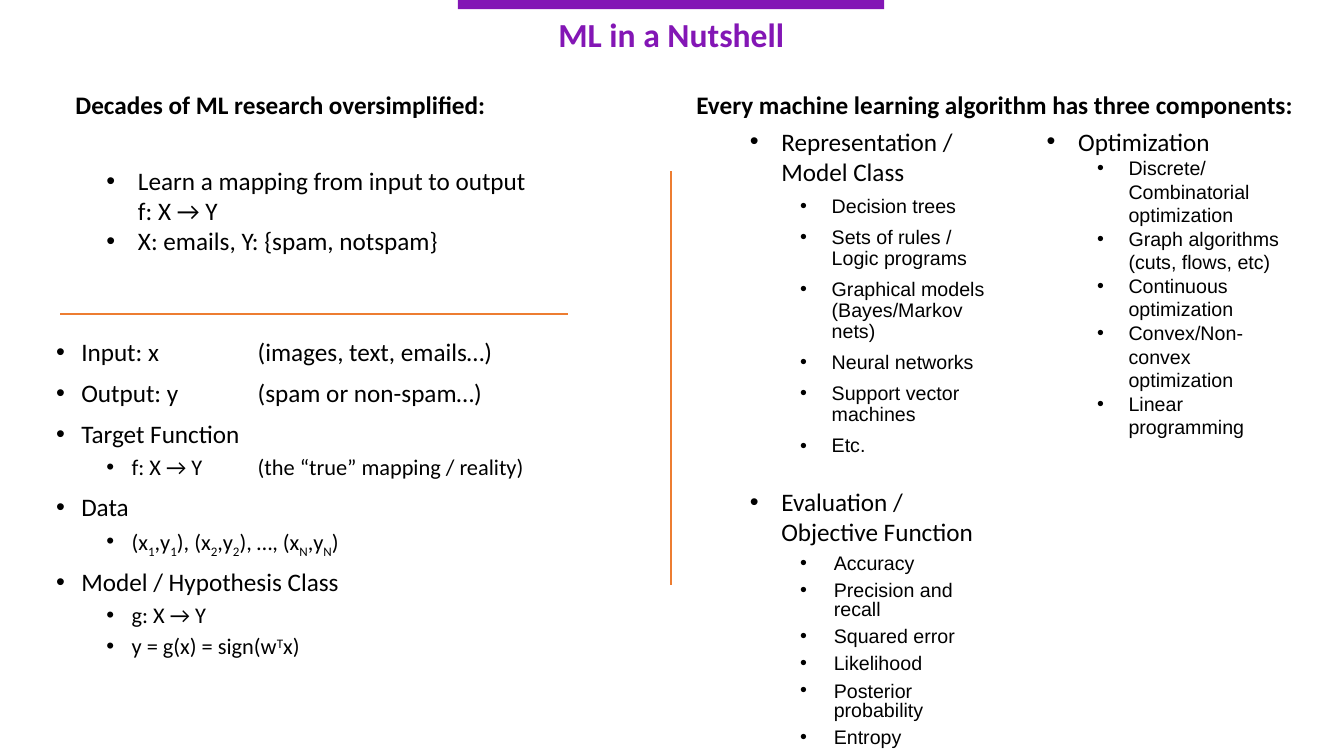
from lxml import etree
from pptx import Presentation
from pptx.dml.color import RGBColor
from pptx.enum.shapes import MSO_CONNECTOR, MSO_SHAPE
from pptx.enum.text import PP_ALIGN
from pptx.oxml.ns import qn
from pptx.util import Pt

STRAIGHT, RECTANGLE = MSO_CONNECTOR.STRAIGHT, MSO_SHAPE.RECTANGLE
CENTER, LEFT = PP_ALIGN.CENTER, PP_ALIGN.LEFT
PURPLE, ORANGE, BLACK = "8316B5", "ED7D31", "000000"

# style: level, margin, hanging, size, font, line spacing, space before
STYLES = {
    "topic": (1, 58.5, 22.5, 18, "Calibri", 1, 0),
    "next topic": (1, 58.5, 22.5, 18, "Calibri", 1, 21),
    "model": (2, 94.5, 22.5, 14, "Arial", 0.9, 7),
    "measure": (2, 96, 24, 14, "Arial", 0.8, 6),
    "method": (2, 94.5, 22.5, 14, "Arial", 1, 0),
    "term": (0, 18, 18, 18, "Calibri", 0.9, 10),
    "detail": (1, 54, 18, 16, "Calibri", 0.9, 5),
}

HEADINGS = [
    ("ML in a Nutshell", (319, 6.5, 321, 36), 24, PURPLE, CENTER),
    ("Decades of ML research oversimplified:", (46.8, 60.5, 485, 29), 18, BLACK, LEFT),
    ("Every machine learning algorithm has three components:",
     (490.3, 60.5, 466, 29), 18, BLACK, LEFT),
]

MAPPING = [
    ("topic", ["Learn a mapping from input to output f: X → Y",
               "X: emails, Y: {spam, notspam}"]),
]
DATA_POINTS = [("(x", 0), ("1", -25), (",y", 0), ("1", -25), ("), (x", 0), ("2", -25),
               (",y", 0), ("2", -25), ("), …, (x", 0), ("N", -25), (",y", 0),
               ("N", -25), (")", 0)]
TERMS = [
    ("term", ["Input: x\t\t(images, text, emails…)",
              "Output: y\t\t(spam or non-spam…)",
              "Target Function"]),
    ("detail", ["f: X → Y\t\t(the “true” mapping / reality)"]),
    ("term", ["Data"]),
    ("detail", [DATA_POINTS]),
    ("term", ["Model / Hypothesis Class"]),
    ("detail", ["g: X → Y", [("y = g(x) = sign(w", 0), ("T", 30), ("x)", 0)]]),
]
MODELS_AND_MEASURES = [
    ("topic", ["Representation / Model Class"]),
    ("model", ["Decision trees", "Sets of rules / Logic programs",
               "Graphical models (Bayes/Markov nets)", "Neural networks",
               "Support vector machines", "Etc."]),
    ("next topic", ["Evaluation / Objective Function"]),
    ("measure", ["Accuracy", "Precision and recall", "Squared error", "Likelihood",
                 "Posterior probability", "Entropy"]),
]
METHODS = [
    ("topic", ["Optimization"]),
    ("method", ["Discrete/Combinatorial optimization",
                "Graph algorithms (cuts, flows, etc)", "Continuous optimization",
                "Convex/Non-convex optimization", "Linear programming"]),
]

INSET = 7.2
COLUMN_LEFT, COLUMN_TOP, COLUMN_WIDTH = 492.5, 86.4, 212
COLUMN_BOX = COLUMN_WIDTH + 2 * INSET
LISTS = [
    (MAPPING, (33, 114.5, 360, 73)),
    (TERMS, (33, 239, 499, 244)),
    (MODELS_AND_MEASURES, (COLUMN_LEFT, COLUMN_TOP, COLUMN_BOX, 453)),
    (METHODS, (COLUMN_LEFT + COLUMN_WIDTH, COLUMN_TOP, COLUMN_BOX, 240)),
]
DIVIDERS = [(43.2, 224, 406, 224), (479.5, 417.6, 479.5, 122.4)]


def color(hex_code):
    return RGBColor.from_string(hex_code)


def add_text_frame(slide, place):
    frame = slide.shapes.add_textbox(*map(Pt, place)).text_frame
    frame.word_wrap = True
    return frame


def add_run(paragraph, text, size, font, ink, bold=False, baseline=0):
    run = paragraph.add_run()
    run.text = text
    run.font.size, run.font.name, run.font.bold = Pt(size), font, bold
    run.font.color.rgb = color(ink)
    if baseline:
        run.font._element.set("baseline", str(baseline * 1000))


def add_bullet(paragraph, margin, hanging):
    properties = paragraph._p.get_or_add_pPr()
    properties.set("marL", str(Pt(margin)))
    properties.set("indent", str(-Pt(hanging)))
    etree.SubElement(properties, qn("a:buFont"), typeface="Arial")
    etree.SubElement(properties, qn("a:buChar"), char="•")


def add_list(slide, groups, place):
    frame = add_text_frame(slide, place)
    items = [(style, item) for style, entries in groups for item in entries]
    for index, (style, item) in enumerate(items):
        level, margin, hanging, size, font, spacing, before = STYLES[style]
        paragraph = frame.add_paragraph() if index else frame.paragraphs[0]
        add_bullet(paragraph, margin, hanging)
        paragraph.level = level
        paragraph.line_spacing = spacing
        paragraph.space_before = Pt(before if index else 0)
        pieces = [(item, 0)] if isinstance(item, str) else item
        for text, baseline in pieces:
            add_run(paragraph, text, size, font, BLACK, baseline=baseline)


def add_divider(slide, ends):
    divider = slide.shapes.add_connector(STRAIGHT, *map(Pt, ends))
    divider.line.color.rgb = color(ORANGE)
    divider.line.width = Pt(1.5)
    etree.SubElement(divider._element.spPr, qn("a:effectLst"))


def main():
    """Build the machine learning overview slide."""
    deck = Presentation()
    deck.slide_width, deck.slide_height = Pt(960), Pt(540)
    slide = deck.slides.add_slide(deck.slide_layouts[6])

    banner = slide.shapes.add_shape(RECTANGLE, Pt(327), Pt(0), Pt(304.5), Pt(6.5))
    banner.shadow.inherit = False
    banner.fill.solid()
    banner.fill.fore_color.rgb = color(PURPLE)
    banner.line.fill.background()

    for text, place, size, ink, alignment in HEADINGS:
        paragraph = add_text_frame(slide, place).paragraphs[0]
        paragraph.alignment = alignment
        add_run(paragraph, text, size, "Calibri", ink, bold=True)
    for groups, place in LISTS:
        add_list(slide, groups, place)
    for ends in DIVIDERS:
        add_divider(slide, ends)

    deck.save("out.pptx")


if __name__ == "__main__":
    main()
